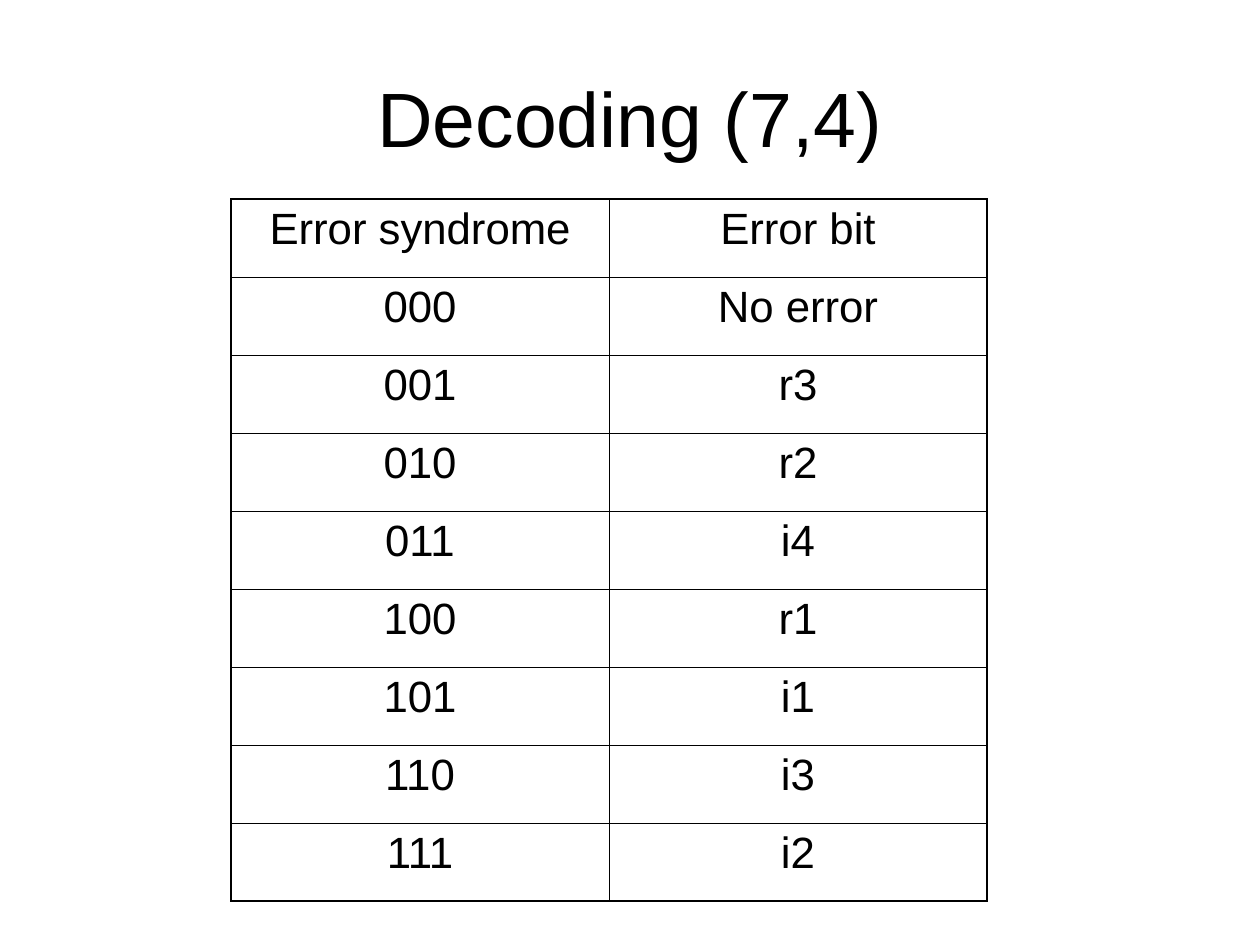
from dataclasses import dataclass

import pptx
import pptx.dml.color
import pptx.enum.text
import pptx.oxml
import pptx.oxml.ns
import pptx.util

PX = 914400 // 126


@dataclass(frozen=True)
class Theme:
    font: str = "Arial"
    ink: str = "000000"
    paper: str = "FFFFFF"
    title_size: int = 44
    cell_size: int = 25
    cell_space: float = 6.2
    outer_line: float = 1.08
    inner_line: float = 0.45


class SlideBuilder:
    def __init__(self, slide, theme):
        self.slide = slide
        self.theme = theme
        background = slide.background.fill
        background.solid()
        background.fore_color.rgb = pptx.dml.color.RGBColor.from_string(theme.paper)

    def set_text(self, frame, text, size, space=0):
        frame.text = text
        para = frame.paragraphs[0]
        para.alignment = pptx.enum.text.PP_ALIGN.CENTER
        para.space_before = pptx.util.Pt(space)
        for span in para.runs:
            span.font.name = self.theme.font
            span.font.size = pptx.util.Pt(size)
            span.font.color.rgb = pptx.dml.color.RGBColor.from_string(self.theme.ink)

    def title(self, text, left, top, width, height):
        box = self.slide.shapes.add_textbox(left * PX, top * PX, width * PX, height * PX)
        box.text_frame.word_wrap = True
        box.text_frame.vertical_anchor = pptx.enum.text.MSO_ANCHOR.MIDDLE
        self.set_text(box.text_frame, text, self.theme.title_size)

    def border(self, cell, side, outer):
        points = self.theme.outer_line if outer else self.theme.inner_line
        cell._tc.get_or_add_tcPr().append(pptx.oxml.parse_xml(
            f'<a:ln{side} {pptx.oxml.ns.nsdecls("a")} w="{pptx.util.Pt(points)}">'
            f'<a:solidFill><a:srgbClr val="{self.theme.ink}"/></a:solidFill></a:ln{side}>'))

    def table(self, rows, left, top, column_width, row_height):
        row_count, column_count = len(rows), len(rows[0])
        table = self.slide.shapes.add_table(
            row_count, column_count, left * PX, top * PX,
            column_count * column_width * PX, row_count * row_height * PX).table
        table.first_row = False
        table.horz_banding = False
        for i, row in enumerate(rows):
            for j, text in enumerate(row):
                cell = table.cell(i, j)
                self.set_text(cell.text_frame, text, self.theme.cell_size, self.theme.cell_space)
                self.border(cell, "L", j == 0)
                self.border(cell, "R", j == column_count - 1)
                self.border(cell, "T", i == 0)
                self.border(cell, "B", i == row_count - 1)
                cell.fill.background()


def main():
    deck = pptx.Presentation()
    deck.slide_width, deck.slide_height = 1260 * PX, 945 * PX
    page = SlideBuilder(deck.slides.add_slide(deck.slide_layouts[6]), Theme())
    page.title("Decoding (7,4)", 63, 38, 1134, 157)
    page.table([
        ("Error syndrome", "Error bit"),
        ("000", "No error"),
        ("001", "r3"),
        ("010", "r2"),
        ("011", "i4"),
        ("100", "r1"),
        ("101", "i1"),
        ("110", "i3"),
        ("111", "i2"),
    ], left=231, top=199, column_width=378, row_height=78)
    deck.save("out.pptx")


if __name__ == "__main__":
    main()
